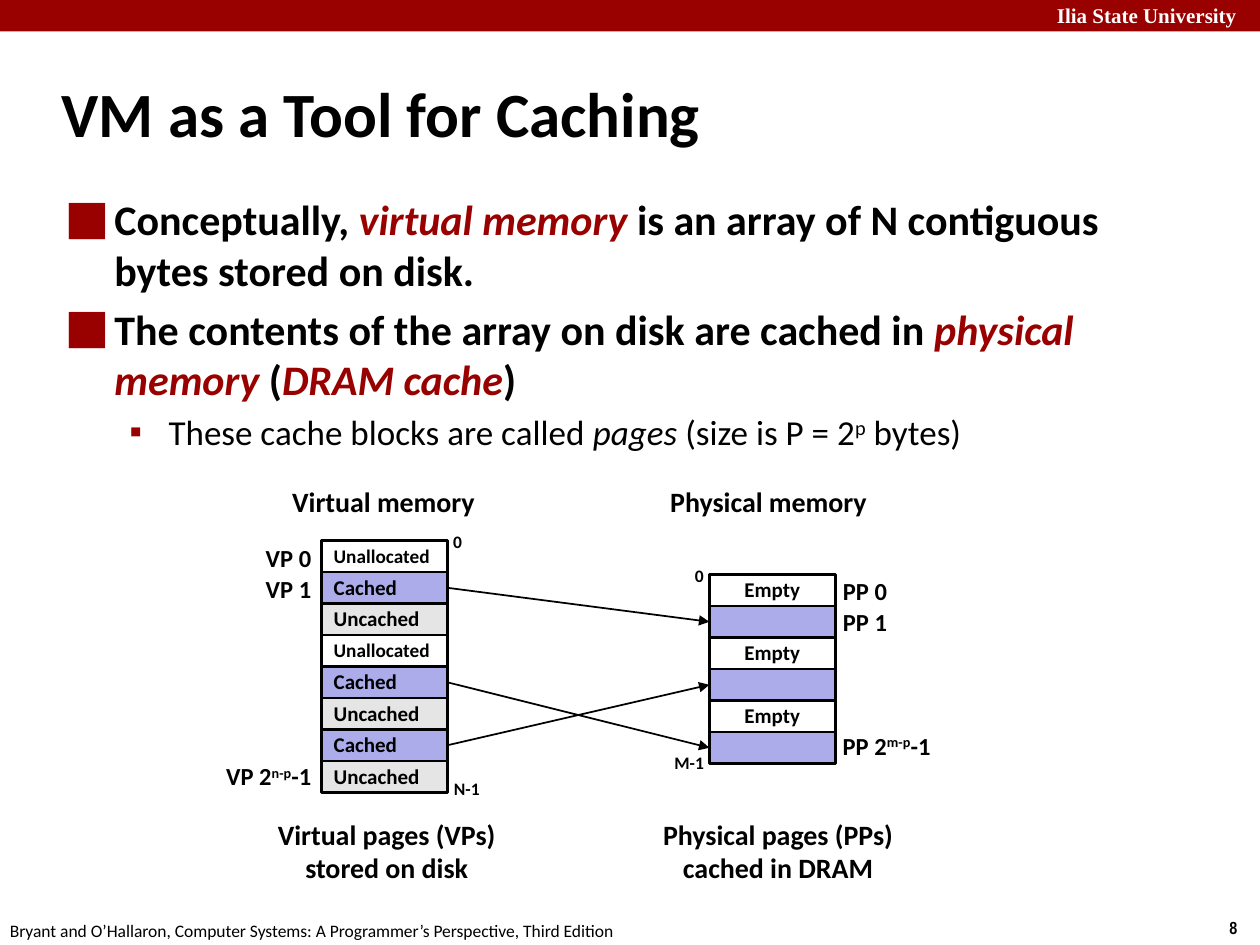
from lxml.etree import SubElement
from pptx import Presentation
from pptx.dml.color import RGBColor
from pptx.enum.shapes import MSO_CONNECTOR, MSO_SHAPE
from pptx.enum.text import MSO_ANCHOR, PP_ALIGN
from pptx.oxml.ns import qn
from pptx.util import Inches, Pt

COLORS = {"red": "990000", "black": "000000", "white": "FFFFFF",
          "cached": "ACACEA", "uncached": "E5E5E5"}
ALIGN = {"left": PP_ALIGN.LEFT, "center": PP_ALIGN.CENTER, "right": PP_ALIGN.RIGHT}

prs = Presentation()
prs.slide_width, prs.slide_height = Inches(10), Inches(7.5)
slide = prs.slides.add_slide(prs.slide_layouts[6])
UNIT = prs.slide_width / 40  # square grid of 40 columns by 30 rows; a memory page is one row high


def put(x, y, width, height, fill=None):
    """Place a filled rectangle, or a text box if there is no fill, in grid units."""
    place = [round(n * UNIT) for n in (x, y, width, height)]
    if fill is None:
        return slide.shapes.add_textbox(*place)
    rect = slide.shapes.add_shape(MSO_SHAPE.RECTANGLE, *place)
    rect.shadow.inherit = False
    rect.fill.solid()
    rect.fill.fore_color.rgb = RGBColor.from_string(COLORS[fill])
    rect.line.color.rgb = RGBColor.from_string(COLORS["black"])
    rect.line.width = Pt(1.5)
    return rect


def write(box, *runs, size=16, bold=True, color="black", font="Calibri", align="center",
          middle=True, wrap=False, spacing=None, before=0, bullet=None, indent=(0, 0), new=False):
    """Write one paragraph; a run is text or (text, marks): i italic, r red, ^ superscript."""
    frame = box.text_frame
    frame.word_wrap = wrap
    frame.vertical_anchor = MSO_ANCHOR.MIDDLE if middle else MSO_ANCHOR.TOP
    para = frame.add_paragraph() if new else frame.paragraphs[0]
    para.alignment, para.line_spacing, para.space_before = ALIGN[align], spacing, Pt(before)
    props = para._p.get_or_add_pPr()
    props.set("marL", str(Inches(indent[0])))
    props.set("indent", str(Inches(indent[1])))
    if bullet:
        tint = SubElement(props, qn("a:buClr"))
        SubElement(tint, qn("a:srgbClr"), val=COLORS["red"])
        SubElement(props, qn("a:buFont"), typeface=font)
        SubElement(props, qn("a:buChar"), char=bullet)
    for item in runs:
        text, marks = (item, "") if isinstance(item, str) else item
        run = para.add_run()
        run.text = text
        run.font.name, run.font.size, run.font.bold = font, Pt(size), bold
        run.font.italic = "i" in marks
        run.font.color.rgb = RGBColor.from_string(COLORS["red" if "r" in marks else color])
        if "^" in marks:
            run.font._element.set("baseline", "30000")


# Header bar and footer
header = put(0, 0, 40, 1, fill="red")
header.line.fill.background()
write(put(33.16, -0.12, 7.12, 1.2), "Ilia State University", size=12, color="white",
      font="Times New Roman", align="left", middle=False)
write(put(38.64, 28.92, 1.36, 1.08), "8", size=10, font="Arial Narrow", align="left", middle=False)
write(put(-0.08, 29, 20.32, 1.08),
      "Bryant and O’Hallaron, Computer Systems: A Programmer’s Perspective, Third Edition",
      size=10, bold=False, align="left", middle=False)

# Title and bullets
write(put(1.56, 1.92, 33.2, 3.32), "VM as a Tool for Caching", size=36, align="left",
      wrap=True, indent=(0.13, -0.13))
body = put(1.72, 5.96, 34.56, 9.04)
body_format = {"align": "left", "middle": False, "wrap": True}
main_point = {**body_format, "size": 24, "bullet": "⬛", "indent": (0.38, -0.38)}
write(body, "Conceptually,", (" virtual memory ", "ir"),
      "is an array of N contiguous bytes stored on disk.", **main_point)
write(body, "The contents of the array on disk are cached in ", ("physical memory", "ir"),
      " (", ("DRAM cache", "ir"), ")", before=4.8, new=True, **main_point)
write(body, "These cache blocks are called ", ("pages ", "i"), "(size is P = 2", ("p", "^"),
      " bytes)", size=20, bold=False, before=4, bullet="▪", indent=(0.81, -0.31), new=True,
      **body_format)

# Virtual and physical pages
VIRTUAL_X, VIRTUAL_Y = 10.2, 17.16
PHYSICAL_X, PHYSICAL_Y = 22.52, 18.24
PAGE_WIDTH = 4
page_fill = {"Unallocated": "white", "Cached": "cached", "Uncached": "uncached"}
virtual_states = ["Unallocated", "Cached", "Uncached", "Unallocated",
                  "Cached", "Uncached", "Cached", "Uncached"]
virtual_pages, physical_pages = [], []
for row, state in enumerate(virtual_states):
    page = put(VIRTUAL_X, VIRTUAL_Y + row, PAGE_WIDTH, 1, fill=page_fill[state])
    write(page, state, size=11 if state == "Unallocated" else 12, align="left", spacing=0.98)
    virtual_pages.append(page)
for row, state in enumerate(["Empty", "Cached"] * 3):
    page = put(PHYSICAL_X, PHYSICAL_Y + row, PAGE_WIDTH, 1,
               fill="white" if state == "Empty" else "cached")
    if state == "Empty":
        write(page, state, size=12, spacing=0.98)
    physical_pages.append(page)

# Arrows from cached virtual pages to their physical pages
for source, target in [(1, 1), (4, 5), (6, 3)]:
    arrow = slide.shapes.add_connector(MSO_CONNECTOR.STRAIGHT, 0, 0, 0, 0)
    arrow.begin_connect(virtual_pages[source], 3)
    arrow.end_connect(physical_pages[target], 1)
    arrow.line.color.rgb = RGBColor.from_string(COLORS["black"])
    arrow.line.width = Pt(1)
    SubElement(arrow.line._get_or_add_ln(), qn("a:tailEnd"), type="triangle")
    SubElement(arrow._element.spPr, qn("a:effectLst"))

# Headings and captions of the two memories
for x, width, heading in [(8.84, 6.68, "Virtual memory"), (20.84, 7.12, "Physical memory")]:
    write(put(x, 15.32, width, 1.32), heading, middle=False, spacing=0.88)
for x, width, lines in [(8.36, 7.84, ("Virtual pages (VPs)", "stored on disk")),
                        (20.6, 8.2, ("Physical pages (PPs)", "cached in DRAM"))]:
    caption = put(x, 25.8, width, 2.52)
    for number, line in enumerate(lines):
        write(caption, line, spacing=0.98, new=number > 0)

# Page numbers beside the pages
for row in range(2):
    write(put(8.04, VIRTUAL_Y + row, 2.24, 1.24), f"VP {row}", size=14, align="right",
          middle=False, spacing=0.88)
    write(put(26.36, PHYSICAL_Y - 0.12 + row, 2.2, 1.32), f"PP {row}", size=14, spacing=0.98)
for x, y, width, kind, power, align in [(6.68, 24.08, 3.6, "VP", "n-p", "right"),
                                        (26.36, 23.12, 3.72, "PP", "m-p", "left")]:
    write(put(x, y, width, 1.24), f"{kind} 2", (power, "^"), "-1", size=14, align=align,
          middle=False, spacing=0.88)

# First and last addresses
for x, y, width, address in [(13.96, 16.68, 1.12, "0"), (14, 24.52, 1.64, "N-1"),
                             (21.64, 17.76, 1.12, "0"), (21, 23.68, 1.76, "M-1")]:
    write(put(x, y, width, 1.08), address, size=10, spacing=0.98)

prs.save("out.pptx")
